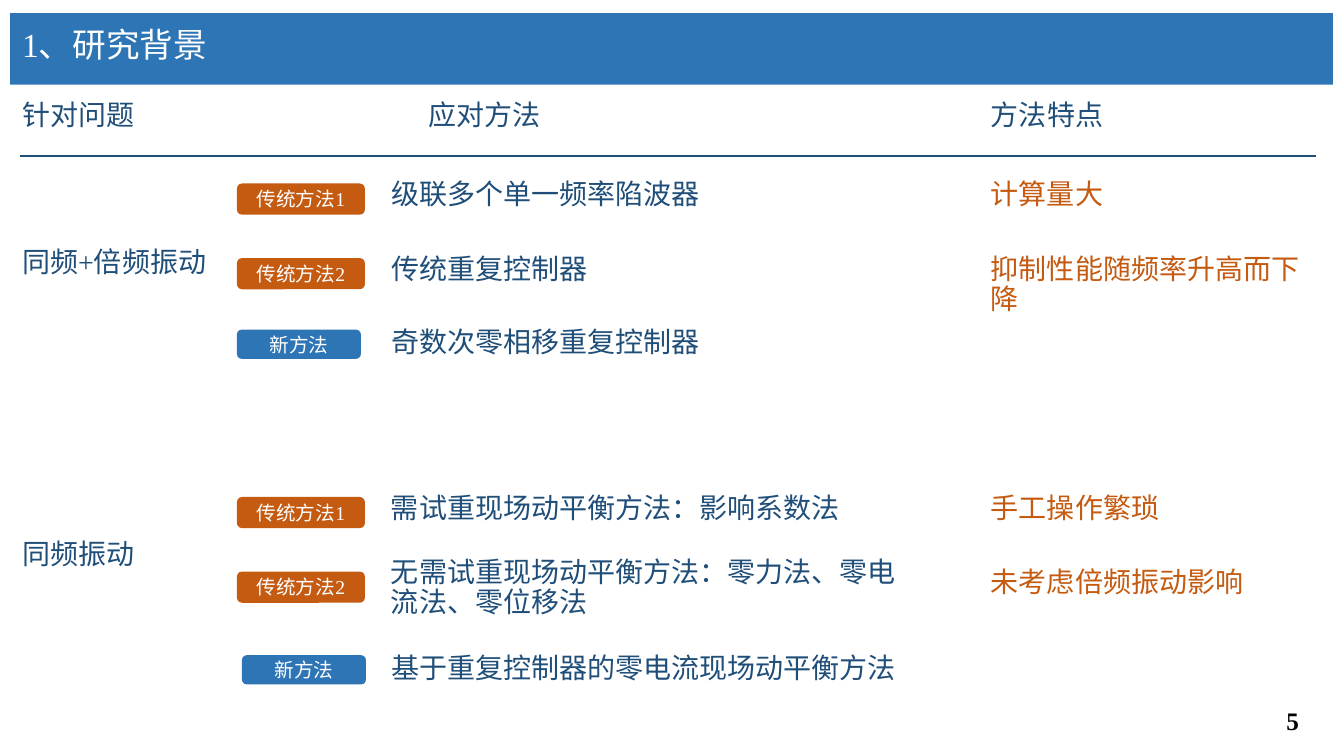
"""Build the research background slide comparing methods for two vibration problems."""
import pptx
import pptx.dml.color
import pptx.enum.shapes
import pptx.enum.text
import pptx.oxml.ns
import pptx.util
from lxml import etree

Inches = pptx.util.Inches
ALIGN = pptx.enum.text.PP_ALIGN
ANCHOR = pptx.enum.text.MSO_ANCHOR
SHAPE = pptx.enum.shapes.MSO_SHAPE

THEME = {
    "font": "Times New Roman",
    "navy": "1F4E79", "blue": "2E75B6", "rust": "C55A11",
    "white": "FFFFFF", "black": "000000",
    "title": 24, "body": 20, "page": 18, "tag": 14,
}

TITLE = "1、研究背景"
PAGE = "5"
HEADS = [("针对问题", 0.12, 2.85), ("应对方法", 4.15, 1.92), ("方法特点", 9.73, 2.31)]
TOPICS = [("同频+倍频振动", 2.41), ("同频振动", 5.31)]
OLD1, OLD2, NEW = "传统方法1", "传统方法2", "新方法"
# tag, tag left, row top, method, method width, trait
ROWS = [
    (OLD1, 2.35, 1.74, "级联多个单一频率陷波器", 4.58, "计算量大"),
    (OLD2, 2.35, 2.48, "传统重复控制器", 4.58, "抑制性能随频率升高而下降"),
    (NEW, 2.35, 3.21, "奇数次零相移重复控制器", 4.58, None),
    (OLD1, 2.35, 4.85, "需试重现场动平衡方法：影响系数法", 5.1, "手工操作繁琐"),
    (OLD2, 2.35, 5.59, "无需试重现场动平衡方法：零力法、零电流法、零位移法", 5.3, "未考虑倍频振动影响"),
    (NEW, 2.4, 6.44, "基于重复控制器的零电流现场动平衡方法", 6.31, None),
]
WRAPPED = ROWS[4][3]
TOPIC_X, METHOD_X, TRAIT_X = 0.12, 3.78, 9.73
LINE_H = 0.47


def color(name):
    return pptx.dml.color.RGBColor.from_string(THEME[name])


def style(para, size, tint, bold=False):
    para.font.name = THEME["font"]
    para.font.size = pptx.util.Pt(THEME[size])
    para.font.color.rgb = color(tint)
    para.font.bold = bold


def add_text(slide, text, box, tint="navy", size="body", wrap=True, bold=False, space=0.9):
    frame = slide.shapes.add_textbox(*map(Inches, box)).text_frame
    frame.word_wrap = wrap
    para = frame.paragraphs[0]
    para.text = text
    para.line_spacing = space
    style(para, size, tint, bold)


def add_block(slide, kind, box, tint):
    block = slide.shapes.add_shape(kind, *map(Inches, box))
    block.shadow.inherit = False
    block.fill.solid()
    block.fill.fore_color.rgb = color(tint)
    block.line.fill.background()
    return block


def add_tag(slide, text, left, top):
    wide, high, tint = (1.23, 0.29, "blue") if text == NEW else (1.27, 0.31, "rust")
    frame = add_block(slide, SHAPE.ROUNDED_RECTANGLE, (left, top, wide, high), tint).text_frame
    frame.vertical_anchor = ANCHOR.MIDDLE
    para = frame.paragraphs[0]
    para.text = text
    para.alignment = ALIGN.CENTER
    style(para, "tag", "white")


def add_rule(slide, left, right, top):
    rule = slide.shapes.add_connector(
        pptx.enum.shapes.MSO_CONNECTOR.STRAIGHT,
        Inches(left), Inches(top), Inches(right), Inches(top))
    rule.line.color.rgb = color("navy")
    rule.line.width = pptx.util.Pt(1.5)
    etree.SubElement(rule._element.spPr, pptx.oxml.ns.qn("a:effectLst"))


def main():
    deck = pptx.Presentation()
    deck.slide_width, deck.slide_height = Inches(13.33), Inches(7.5)
    slide = deck.slides.add_slide(deck.slide_layouts[6])

    add_block(slide, SHAPE.RECTANGLE, (0.1, 0.13, 13.12, 0.71), "blue")
    add_text(slide, TITLE, (0.12, 0.23, 2.25, LINE_H), "white", "title", wrap=False)
    for text, left, wide in HEADS:
        add_text(slide, text, (left, 0.96, wide, LINE_H))
    add_rule(slide, 0.2, 13.05, 1.55)

    for text, top in TOPICS:
        add_text(slide, text, (TOPIC_X, top, 2.85, LINE_H))
    for tag, left, top, method, wide, trait in ROWS:
        lift, high = (0.1, 0.66) if method == WRAPPED else (0, LINE_H)
        add_text(slide, method, (METHOD_X, top - lift, wide, high))
        add_tag(slide, tag, left, top + (0.06 if tag == NEW else 0.08))
        if trait:
            add_text(slide, trait, (TRAIT_X, top, 3.5, LINE_H), "rust", wrap=False)

    add_text(slide, PAGE, (12.66, 6.95, 0.51, 0.4), "black", "page", bold=True, space=1.0)
    deck.save("out.pptx")


if __name__ == "__main__":
    main()
